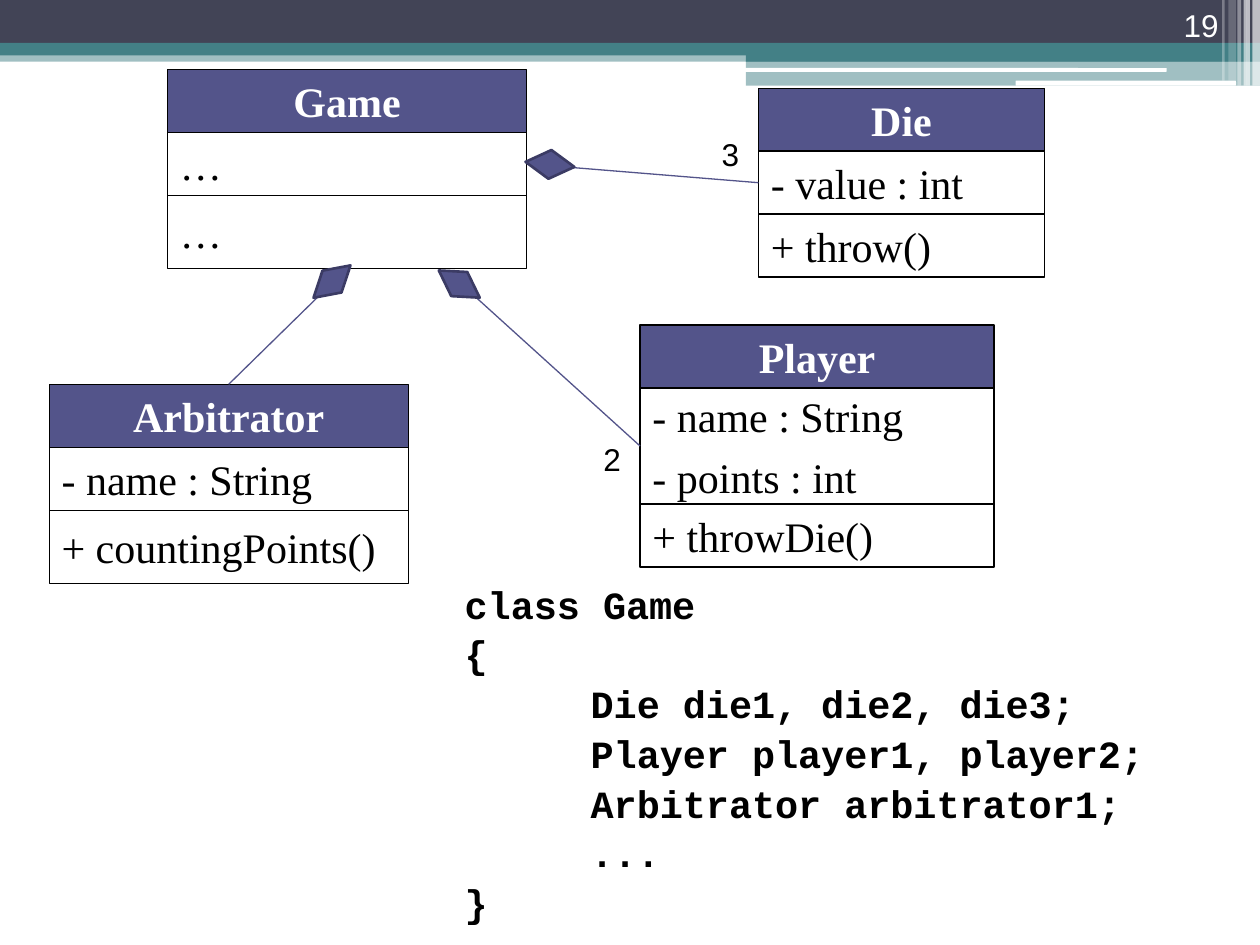
"""Build a slide with a class diagram of a dice game and its code."""
from lxml.etree import SubElement
from pptx import Presentation
from pptx.dml.color import RGBColor
from pptx.enum.shapes import MSO_CONNECTOR, MSO_SHAPE
from pptx.enum.text import MSO_ANCHOR, PP_ALIGN
from pptx.oxml.ns import qn
from pptx.util import Inches, Pt

COLORS = {
    "dark": "424456", "teal": "438086", "white": "FFFFFF",
    "purple": "53548A", "outline": "3B3B64", "black": "000000",
}


def add_box(shapes, kind, place, fill=None, line=None, width=0.75, opacity=100):
    box = shapes.add_shape(kind, *[Inches(value) for value in place])
    box.shadow.inherit = False
    if fill:
        box.fill.solid()
        box.fill.fore_color.rgb = RGBColor.from_string(COLORS[fill])
        if opacity < 100:
            color = box.fill._xPr.find(qn("a:solidFill"))[0]
            SubElement(color, qn("a:alpha")).set("val", str(opacity * 1000))
    else:
        box.fill.background()
    if line:
        box.line.color.rgb = RGBColor.from_string(COLORS[line])
        box.line.width = Pt(width)
    else:
        box.line.fill.background()
    return box


def write_text(box, lines, font, size, color="black", bold=False,
               align=PP_ALIGN.LEFT, gap=0):
    frame = box.text_frame
    for index, line in enumerate(lines):
        para = frame.add_paragraph() if index else frame.paragraphs[0]
        para.text = line
        para.alignment = align
        para.space_before = Pt(gap if index else 0)
        if line.startswith("\t"):
            tabs = SubElement(para._p.get_or_add_pPr(), qn("a:tabLst"))
            SubElement(tabs, qn("a:tab"), pos=str(Inches(1)), algn="l")
        for span in para.runs:
            span.font.name = font
            span.font.size = Pt(size)
            span.font.bold = bold
            span.font.color.rgb = RGBColor.from_string(COLORS[color])


deck = Presentation()
deck.slide_width = Inches(10)
deck.slide_height = Inches(7.5)
page = deck.slides.add_slide(deck.slide_layouts[6])

bands = [
    (0, 0.4, 10, 0.09, "teal", 50),
    (0, 0, 10, 0.34, "dark", 100),
    (0, 0.34, 10, 0.1, "teal", 100),
    (5.92, 0.39, 4.08, 0.1, "teal", 100),
    (5.92, 0.48, 4.08, 0.2, "teal", 50),
]
for *place, fill, opacity in bands:
    add_box(page.shapes, MSO_SHAPE.RECTANGLE, place, fill, opacity=opacity)

for place in [(5.91, 0.54, 3.35, 0.03), (8.06, 0.64, 1.75, 0.04)]:
    add_box(page.shapes, MSO_SHAPE.ROUNDED_RECTANGLE, place, "white")

stripes = [
    (9.94, 0.06, 0.68, 65), (9.89, 0.03, 0.68, 65), (9.87, 0.02, 0.68, 60),
    (9.82, 0.03, 0.68, 40), (9.75, 0.06, 0.64, 20), (9.7, 0.02, 0.64, 30),
]
for left, width, height, opacity in stripes:
    add_box(page.shapes, MSO_SHAPE.RECTANGLE, (left, 0, width, height),
            "white", opacity=opacity)

classes = [
    (6.02, 0.7, 2.27, [(0.5, ["Die"]), (0.5, ["- value : int"]),
                       (0.5, ["+ throw()"])]),
    (0.39, 3.05, 2.85, [(0.5, ["Arbitrator"]), (0.5, ["- name : String"]),
                        (0.58, ["+ countingPoints()"])]),
    (5.08, 2.58, 2.81, [(0.5, ["Player"]),
                        (0.92, ["- name : String", "- points : int"]),
                        (0.5, ["+ throwDie()"])]),
    (1.33, 0.55, 2.85, [(0.5, ["Game"]), (0.5, ["…"]), (0.58, ["…"])]),
]
class_rows = {}
for left, top, width, rows in classes:
    group = page.shapes.add_group_shape()
    boxes = class_rows[rows[0][1][0]] = []
    for index, (height, lines) in enumerate(rows):
        title = index == 0
        box = add_box(group.shapes, MSO_SHAPE.RECTANGLE,
                      (left, top, width, height),
                      "purple" if title else None, "black")
        box.text_frame.word_wrap = False
        box.text_frame.vertical_anchor = MSO_ANCHOR.MIDDLE
        write_text(box, lines, "Times New Roman", 24,
                   "white" if title else "black", title,
                   PP_ALIGN.CENTER if title else PP_ALIGN.LEFT, 6)
        boxes.append(box)
        top += height

game = class_rows["Game"]
links = [
    (class_rows["Die"][1], 1, game[1], 3, (4.18, 1.3)),
    (class_rows["Player"][1], 1, None, None, (3.59, 2.19)),
    (class_rows["Arbitrator"][0], 0, game[2], 2, (2.75, 2.13)),
]
for part, part_side, whole, whole_side, end in links:
    link = page.shapes.add_connector(
        MSO_CONNECTOR.STRAIGHT, part.left, part.top, Inches(end[0]), Inches(end[1]))
    link.begin_connect(part, part_side)
    if whole:
        link.end_connect(whole, whole_side)
    link.line.color.rgb = RGBColor.from_string(COLORS["purple"])
    link.line.width = Pt(0.75)
    SubElement(link._element.spPr, qn("a:effectLst"))

for left, top, angle in [(4.17, 1.19, 5.9), (3.45, 2.14, 33.6), (2.44, 2.12, 138.8)]:
    diamond = add_box(page.shapes, MSO_SHAPE.DIAMOND, (left, top, 0.39, 0.23),
                      "purple", "outline", 1.5)
    diamond.rotation = angle

code = [
    "class Game",
    "{",
    "\tDie die1, die2, die3;",
    "\tPlayer player1, player2;",
    "\tArbitrator arbitrator1;",
    "\t...",
    "}",
]
texts = [
    ((8.94, 0, 0.83, 0.4), ["19"], "Arial", 18, "white", False, PP_ALIGN.RIGHT),
    ((5.63, 1.02, 0.47, 0.4), ["3"], "Arial", 18, "black", False, PP_ALIGN.LEFT),
    ((4.69, 3.44, 0.47, 0.4), ["2"], "Arial", 18, "black", False, PP_ALIGN.LEFT),
    ((3.59, 4.56, 5.94, 2.84), code, "Courier New", 22, "black", True, PP_ALIGN.LEFT),
]
for place, lines, font, size, color, bold, align in texts:
    box = page.shapes.add_textbox(*[Inches(value) for value in place])
    box.text_frame.word_wrap = True
    if color == "white":
        box.text_frame.vertical_anchor = MSO_ANCHOR.BOTTOM
    write_text(box, lines, font, size, color, bold, align, 2)

deck.save("out.pptx")
